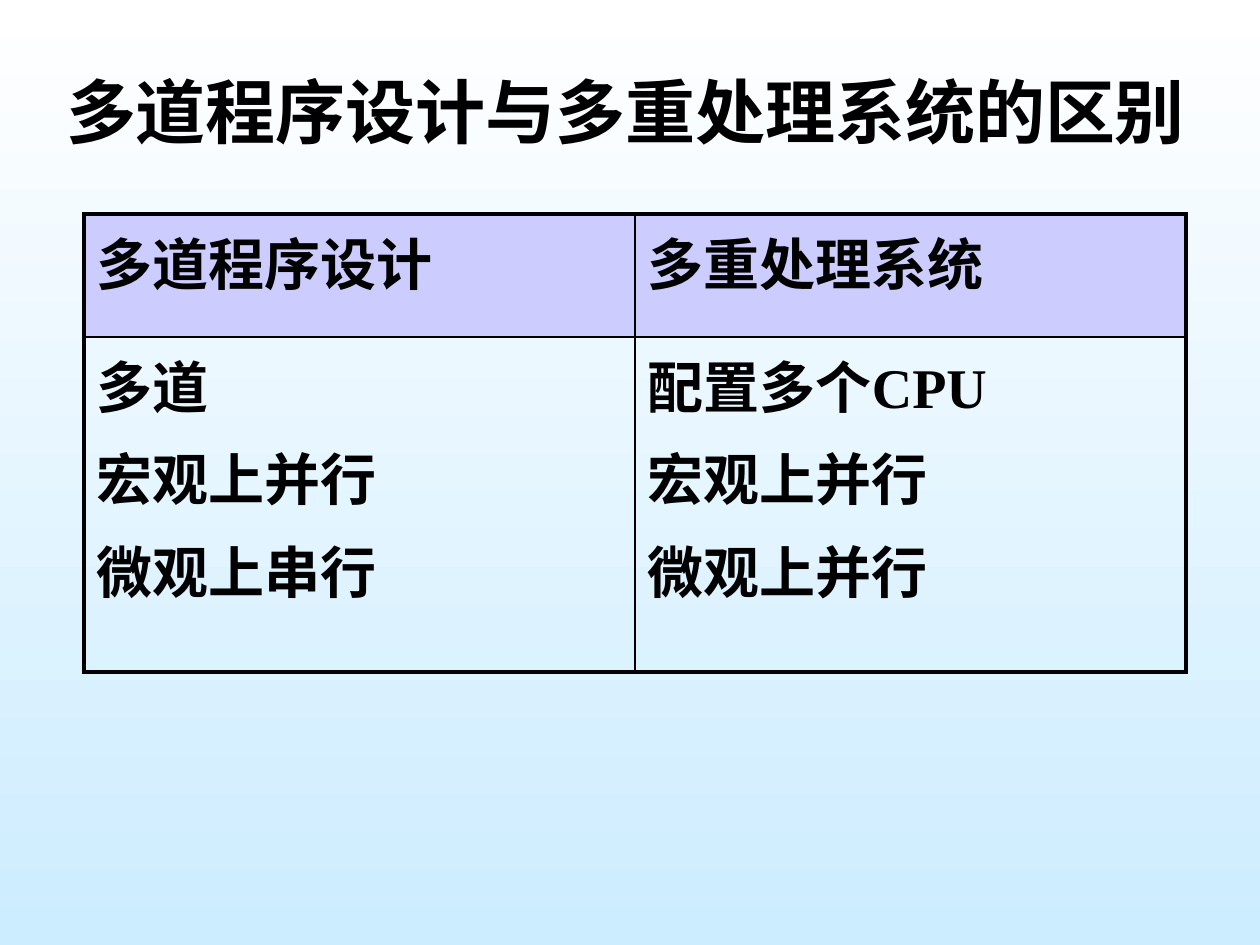
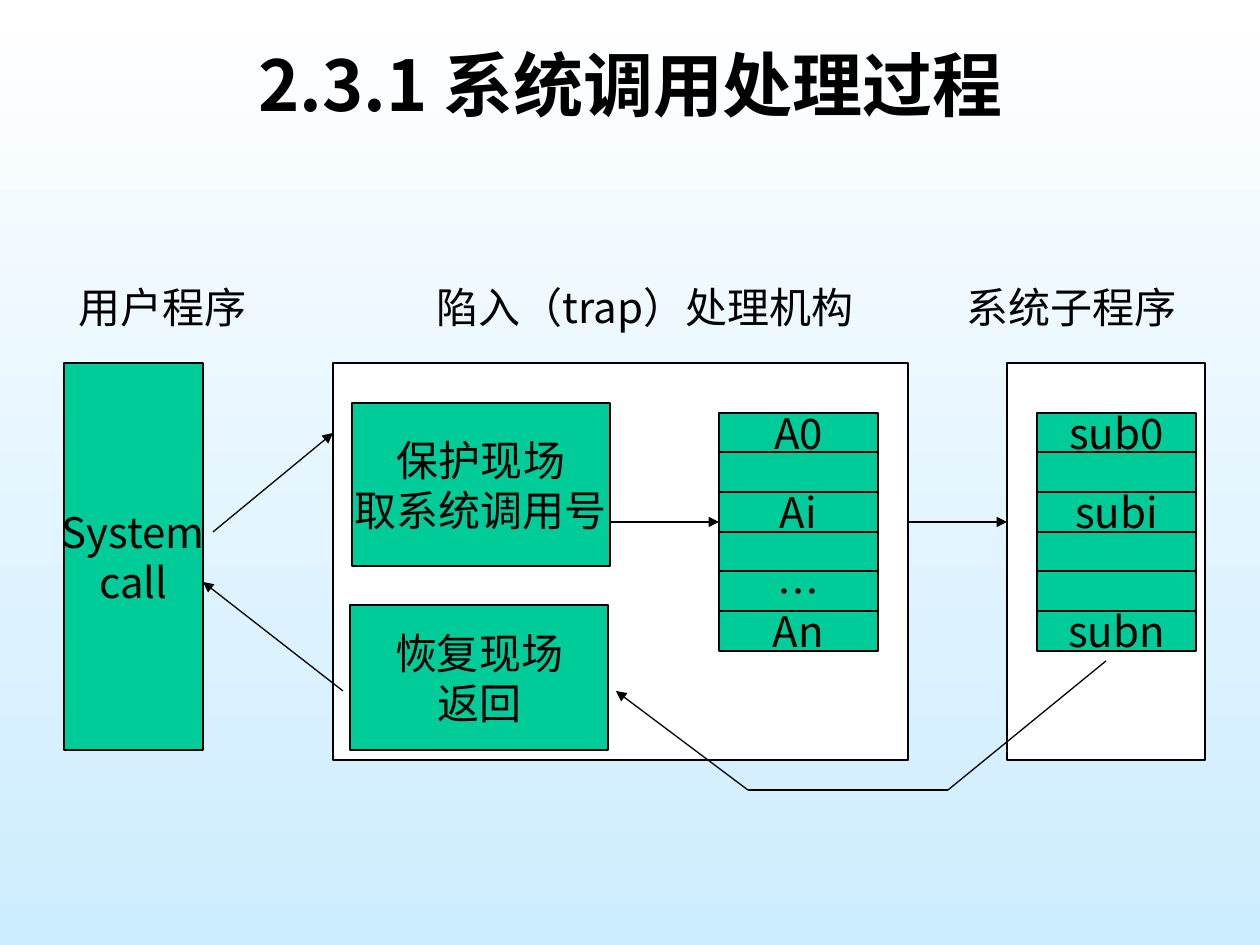
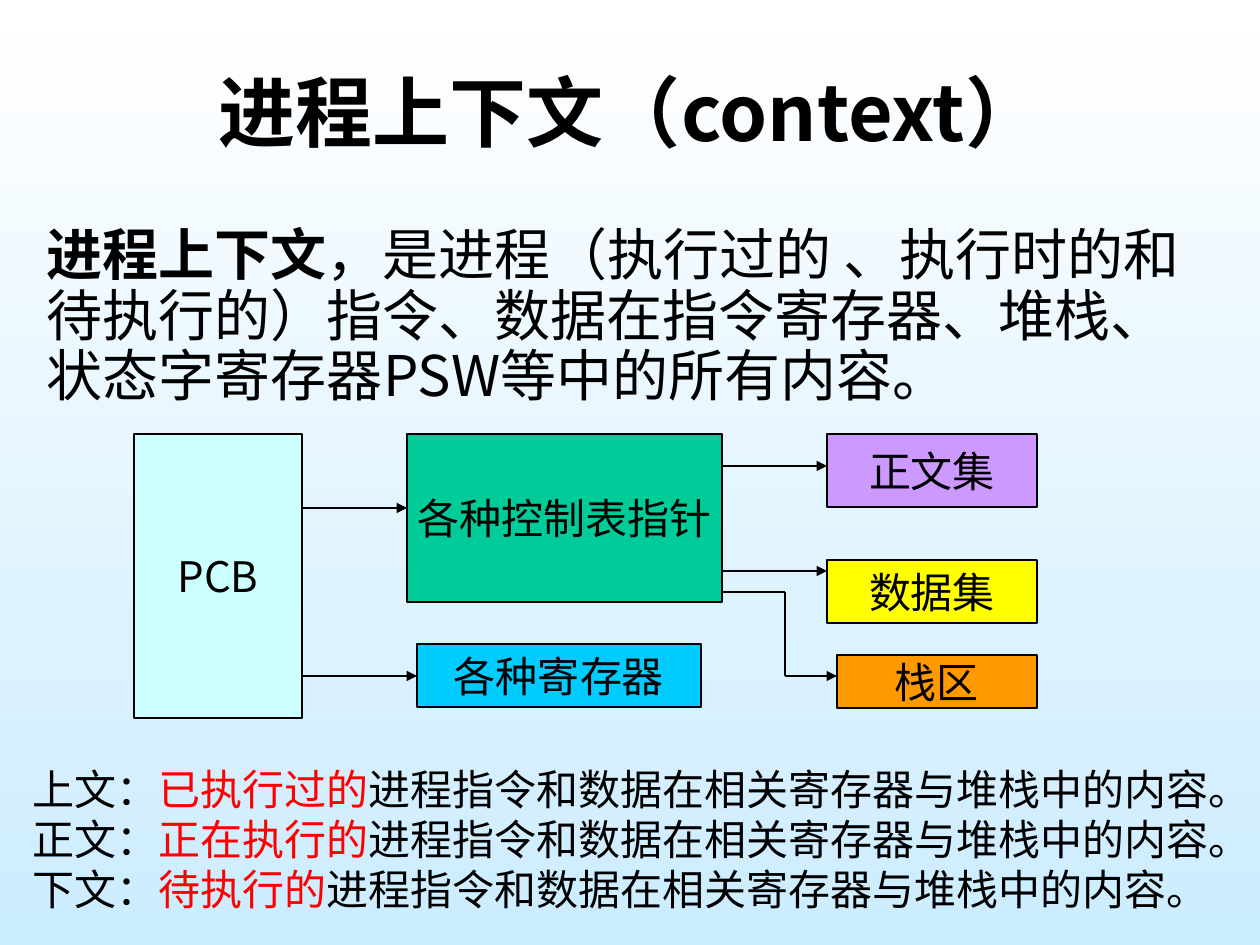
from dataclasses import dataclass
from typing import NamedTuple

from lxml import etree
from pptx import Presentation
from pptx import util as u
from pptx.dml.color import RGBColor
from pptx.enum import shapes, text
from pptx.oxml.ns import qn

# Shared look
SCALE = 914400 / 126
HUES = {
    "ink": "000000", "white": "FFFFFF", "sky": "CCECFF", "head": "CCCCFF",
    "green": "00CC99", "pale": "CCFFFF", "blue": "00CCFF", "violet": "CC99FF",
    "yellow": "FFFF00", "orange": "FF9900", "red": "FF0000",
}
SANS = "Noto Sans CJK SC"
SERIF = "Times New Roman"
MID = text.PP_ALIGN.CENTER
LEFT = text.PP_ALIGN.LEFT


class Area(NamedTuple):
    x: int
    y: int
    w: int
    h: int


class Part(NamedTuple):
    words: str
    hue: str = "ink"
    bold: bool = False


class Line(NamedTuple):
    x1: int
    y1: int
    x2: int
    y2: int
    arrow: bool = True


@dataclass(frozen=True)
class Style:
    size: int = 24
    font: str = SANS
    bold: bool = False
    align: int = MID
    before: float = 0
    lead: float = 1.0


@dataclass(frozen=True)
class Box:
    area: Area
    hue: str
    lines: tuple = ()


PLAIN = Style()


def px(n: int) -> int:
    return round(n * SCALE)


def rgb(hue: str) -> RGBColor:
    return RGBColor.from_string(HUES[hue])


# Text
def write(frame, lines, style: Style) -> None:
    for i, line in enumerate(lines):
        para = frame.add_paragraph() if i else frame.paragraphs[0]
        para.alignment = style.align
        para.space_before = u.Pt(style.before)
        para.line_spacing = style.lead
        font = para.font
        font.name, font.size, font.bold = style.font, u.Pt(style.size), style.bold
        font.color.rgb = rgb("ink")
        if style.font == SANS:
            base = para._p.pPr.find(qn("a:defRPr"))
            etree.SubElement(base, qn("a:ea"), typeface=SANS)
        if isinstance(line, str):
            para.add_run().text = line
            continue
        for part in line:
            run = para.add_run()
            run.text = part.words
            run.font.bold = part.bold
            run.font.color.rgb = rgb(part.hue)


def place(shape, area: Area) -> None:
    shape.left, shape.top, shape.width, shape.height = map(px, area)


def title(slide, area: Area, words: str, style: Style) -> None:
    shape = slide.shapes.title
    place(shape, area)
    frame = shape.text_frame
    frame.auto_size = text.MSO_AUTO_SIZE.NONE
    frame.vertical_anchor = text.MSO_ANCHOR.MIDDLE
    write(frame, [words], style)


def label(slide, area: Area, lines, style: Style, wrap: bool = True) -> None:
    frame = slide.shapes.add_textbox(*map(px, area)).text_frame
    frame.word_wrap = wrap
    frame.auto_size = text.MSO_AUTO_SIZE.SHAPE_TO_FIT_TEXT
    write(frame, lines, style)


# Boxes and lines
def draw(slide, box: Box) -> None:
    shape = slide.shapes.add_shape(shapes.MSO_SHAPE.RECTANGLE, *map(px, box.area))
    shape.shadow.inherit = False
    shape.fill.solid()
    shape.fill.fore_color.rgb = rgb(box.hue)
    shape.line.color.rgb = rgb("ink")
    shape.line.width = u.Pt(0.75)
    frame = shape.text_frame
    frame.word_wrap = False
    frame.vertical_anchor = text.MSO_ANCHOR.MIDDLE
    write(frame, box.lines, PLAIN)


def link(slide, line: Line) -> None:
    wire = slide.shapes.add_connector(
        shapes.MSO_CONNECTOR.STRAIGHT, *map(px, line[:4]))
    wire.line.color.rgb = rgb("ink")
    wire.line.width = u.Pt(0.75)
    if line.arrow:
        etree.SubElement(wire.line._get_or_add_ln(), qn("a:tailEnd"), type="triangle")
    etree.SubElement(wire._element.spPr, qn("a:effectLst"))


def stack(slide, x: int, names) -> None:
    top, tall = 413, 238
    edges = [top + tall * i // len(names) for i in range(len(names) + 1)]
    for name, y, end in zip(names, edges, edges[1:]):
        draw(slide, Box(Area(x, y, 159, end - y), "green", (name,) if name else ()))


# Table
def edge(cell, sides) -> None:
    props = cell._tc.get_or_add_tcPr()
    for i, (side, width) in enumerate(sides.items()):
        ln = etree.Element(qn(f"a:ln{side}"), w=str(u.Pt(width)))
        fill = etree.SubElement(ln, qn("a:solidFill"))
        etree.SubElement(fill, qn("a:srgbClr"), val=HUES["ink"])
        props.insert(i, ln)


def grid(slide, area: Area, tall, rows) -> None:
    count = len(rows[0])
    table = slide.shapes.add_table(len(rows), count, *map(px, area)).table
    table.first_row = table.horz_banding = False
    style = Style(32, SERIF, True, LEFT, before=6.4)
    for r, row in enumerate(rows):
        table.rows[r].height = px(tall[r])
        for c, lines in enumerate(row):
            table.columns[c].width = px(area.w // count)
            cell = table.cell(r, c)
            if r:
                cell.fill.background()
            else:
                cell.fill.solid()
                cell.fill.fore_color.rgb = rgb("head")
            outer = {"L": c == 0, "R": c == count - 1,
                     "T": r == 0, "B": r == len(rows) - 1}
            edge(cell, {side: 2.25 if out else 1 for side, out in outer.items()})
            write(cell.text_frame, lines, style)


# Slides
def compare(slide) -> None:
    title(slide, Area(25, 32, 1201, 158), "多道程序设计与多重处理系统的区别",
          Style(40, SERIF, True))
    grid(slide, Area(84, 214, 1102, 458), (123, 335), (
        (("多道程序设计",), ("多重处理系统",)),
        (("多道", "宏观上并行", "微观上串行"),
         ("配置多个CPU", "宏观上并行", "微观上并行")),
    ))


def calls(slide) -> None:
    title(slide, Area(95, 32, 1071, 103), "2.3.1 系统调用处理过程",
          Style(40, bold=True))
    for box in (
        Box(Area(64, 363, 139, 387), "green", ("System", "call")),
        Box(Area(333, 363, 575, 397), "white"),
        Box(Area(1007, 363, 198, 397), "white"),
        Box(Area(352, 403, 258, 163), "green", ("保护现场", "取系统调用号")),
        Box(Area(350, 605, 258, 145), "green", ("恢复现场", "返回")),
    ):
        draw(slide, box)
    stack(slide, 719, ("A0", "", "Ai", "", "…", "An"))
    stack(slide, 1037, ("sub0", "", "subi", "", "", "subn"))
    for x, w, words in ((937, 268, "系统子程序"), (44, 238, "用户程序"),
                        (372, 546, "陷入（trap）处理机构")):
        label(slide, Area(x, 275, w, 63), [words], Style(before=12))
    for line in (
        Line(213, 532, 333, 433),
        Line(610, 522, 719, 522),
        Line(908, 522, 1007, 522),
        Line(1106, 661, 948, 790, False),
        Line(948, 790, 748, 790, False),
        Line(748, 790, 616, 691),
        Line(343, 691, 203, 582),
    ):
        link(slide, line)


def context(slide) -> None:
    title(slide, Area(95, 32, 1071, 158), "进程上下文（context）",
          Style(44, bold=True))
    body = slide.placeholders[1]
    place(body, Area(34, 221, 1201, 185))
    body.text_frame.auto_size = text.MSO_AUTO_SIZE.NONE
    write(body.text_frame, [(
        Part("进程上下文", bold=True),
        Part("，是进程（执行过的 、执行时的和待执行的）指令、数据在指令寄存器、"
             "堆栈、状态字寄存器PSW等中的所有内容。"),
    )], Style(32, align=LEFT, before=6.4, lead=0.9))
    props = body.text_frame.paragraphs[0]._p.pPr
    props.set("marL", "0")
    props.set("indent", "0")
    props.find(qn("a:defRPr")).addprevious(etree.Element(qn("a:buNone")))
    for box in (
        Box(Area(134, 434, 168, 284), "pale", ("PCB",)),
        Box(Area(407, 434, 315, 168), "green", ("各种控制表指针",)),
        Box(Area(417, 644, 284, 63), "blue", ("各种寄存器",)),
        Box(Area(827, 434, 210, 73), "violet", ("正文集",)),
        Box(Area(827, 560, 210, 63), "yellow", ("数据集",)),
        Box(Area(837, 655, 200, 53), "orange", ("栈区",)),
    ):
        draw(slide, box)
    for line in (
        Line(302, 508, 407, 508),
        Line(302, 676, 417, 676),
        Line(722, 466, 827, 466),
        Line(722, 571, 827, 571),
        Line(722, 592, 785, 592, False),
        Line(785, 592, 785, 676, False),
        Line(785, 676, 837, 676),
    ):
        link(slide, line)
    notes = (("上文：", "已执行过的"), ("正文：", "正在执行的"), ("下文：", "待执行的"))
    rest = "进程指令和数据在相关寄存器与堆栈中的内容。"
    label(slide, Area(20, 757, 1255, 165),
          [(Part(name), Part(when, "red"), Part(rest)) for name, when in notes],
          Style(align=LEFT), wrap=False)


def main() -> None:
    deck = Presentation()
    deck.slide_width, deck.slide_height = px(1260), px(945)
    # Shared background, white at the top
    fill = deck.slide_master.background.fill
    fill.gradient()
    fill.gradient_angle = 270
    for stop, hue, pos in zip(fill.gradient_stops, ("white", "sky"), (0, 1)):
        stop.color.rgb = rgb(hue)
        stop.position = pos
    for build, kind in ((compare, 5), (calls, 5), (context, 1)):
        build(deck.slides.add_slide(deck.slide_layouts[kind]))
    deck.save("out.pptx")


if __name__ == "__main__":
    main()
